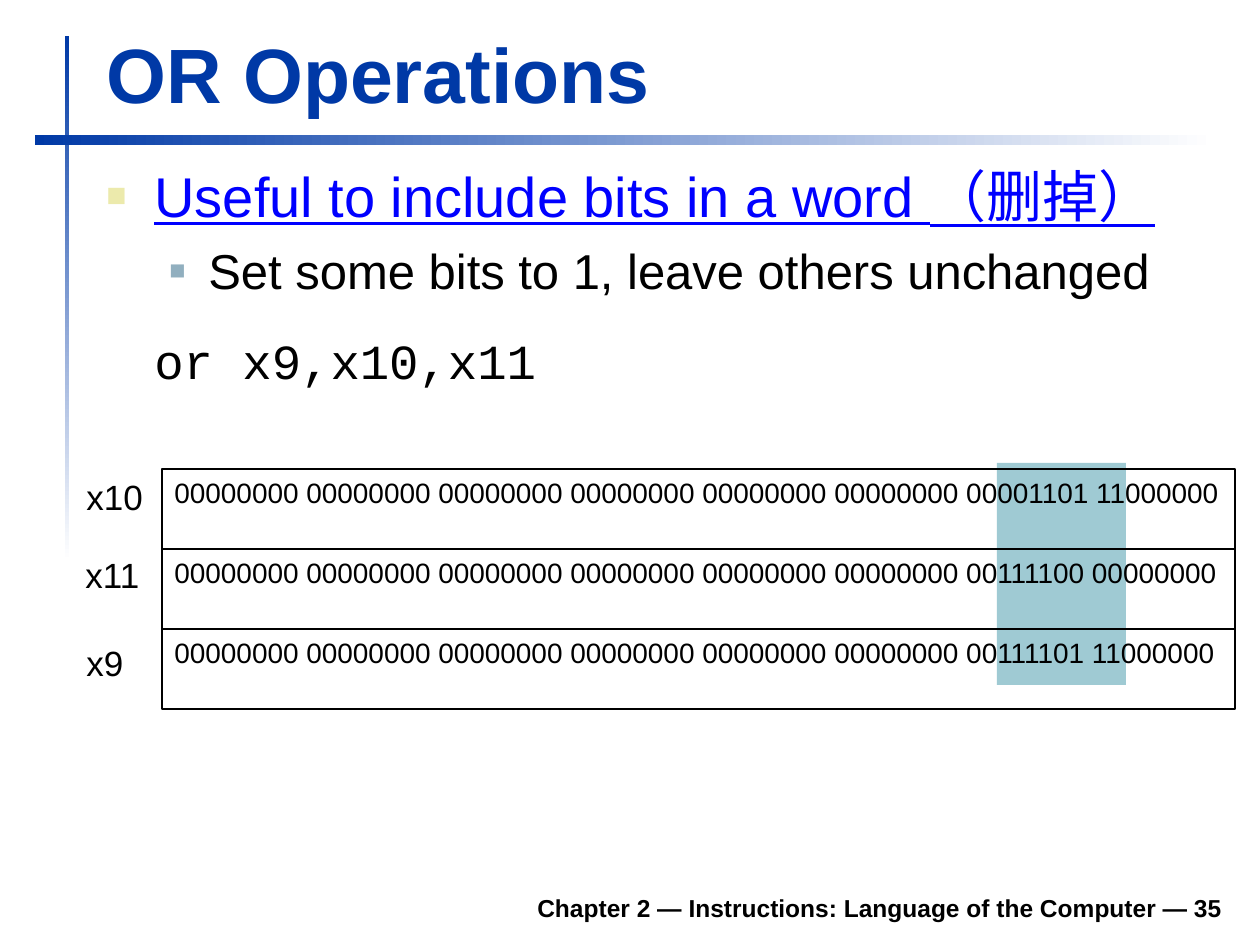
from lxml import etree
from pptx import Presentation
from pptx.dml.color import RGBColor
from pptx.enum.shapes import MSO_SHAPE
from pptx.enum.text import MSO_ANCHOR, MSO_AUTO_SIZE, PP_ALIGN
from pptx.oxml.ns import qn
from pptx.util import Pt

RECT = MSO_SHAPE.RECTANGLE
TOP, BOTTOM = MSO_ANCHOR.TOP, MSO_ANCHOR.BOTTOM
LEFT, RIGHT = PP_ALIGN.LEFT, PP_ALIGN.RIGHT
NO_FIT = MSO_AUTO_SIZE.NONE
BLUE, BLACK, WHITE = "0039A6", "000000", "FFFFFF"

TITLE = "OR Operations"
FOOTER = "Chapter 2 — Instructions: Language of the Computer — 35"
BODY = [
    dict(text="Useful to include bits in a word （删掉）", size=32, color="0000FF",
         underline=True, indent=(48, -48), bullet=("ECEAAC", 60)),
    dict(text="Set some bits to 1, leave others unchanged", size=28, before=7,
         indent=(102, -39), bullet=("91AFBF", 55)),
    dict(text="or x9,x10,x11", size=28, font="Courier New", before=17.5,
         after=10.5, indent=(48, 0)),
]
ZEROS = "00000000 " * 6
REGISTERS = [
    ("x10", "00001101 11000000", (74, 469, 82, 55)),
    ("x11", "00111100 00000000", (73, 547, 82, 55)),
    ("x9", "00111101 11000000", (74, 635, 62, 55)),
]
ROW_X, ROW_Y, ROW_W, ROW_H = 162, 469, 1073, 80


def px(n):
    return round(n * 914400 / 126)


def rgb(color):
    return RGBColor.from_string(color)


def place(sp, box):
    sp.left, sp.top, sp.width, sp.height = map(px, box)


def write(p, text, size=16, color=BLACK, font="Arial", bold=False,
          underline=False, align=LEFT, before=0, after=0, indent=None, bullet=None):
    p.alignment = align
    p.space_before, p.space_after = Pt(before), Pt(after)
    pPr = p._p.get_or_add_pPr()
    if indent:
        pPr.set("marL", str(px(indent[0])))
        pPr.set("indent", str(px(indent[1])))
    if bullet:
        buc, percent = bullet
        clr = etree.SubElement(pPr, qn("a:buClr"))
        etree.SubElement(clr, qn("a:srgbClr"), val=buc)
        etree.SubElement(pPr, qn("a:buSzPct"), val=str(percent * 1000))
        etree.SubElement(pPr, qn("a:buFont"), typeface="Arial")
        etree.SubElement(pPr, qn("a:buChar"), char="■")
    r = p.add_run()
    r.text = text
    r.font.size, r.font.name = Pt(size), font
    r.font.bold, r.font.underline = bold, underline
    r.font.color.rgb = rgb(color)


def frame(sp, anchor=TOP, wrap=True):
    tf = sp.text_frame
    tf.auto_size, tf.word_wrap, tf.vertical_anchor = NO_FIT, wrap, anchor
    tf.margin_left = tf.margin_right = px(12.6)
    tf.margin_top = tf.margin_bottom = px(6.3)
    return tf


def add_text(s, box, text, anchor=TOP, wrap=True, **fmt):
    sp = s.shapes.add_textbox(*map(px, box))
    write(frame(sp, anchor, wrap).paragraphs[0], text, **fmt)


def add_rect(s, box, fill=None, line=None):
    sp = s.shapes.add_shape(RECT, *map(px, box))
    sp.shadow.inherit = False
    if fill:
        sp.fill.solid()
        sp.fill.fore_color.rgb = rgb(fill)
    else:
        sp.fill.background()
    if line:
        sp.line.color.rgb = rgb(line)
        sp.line.width = Pt(0.75)
    else:
        sp.line.fill.background()
    return sp


def add_fade(s, box, angle):
    sp = add_rect(s, box)
    sp.fill.gradient()
    sp.fill.gradient_angle = angle
    for stop, color, pos in zip(sp.fill.gradient_stops, (BLUE, WHITE), (0, 1)):
        stop.color.rgb = rgb(color)
        stop.position = pos


def main():
    prs = Presentation()
    prs.slide_width, prs.slide_height = px(1260), px(945)
    s = prs.slides.add_slide(prs.slide_layouts[5])

    title = s.shapes.title
    place(title, (94, 20, 1138, 105))
    write(frame(title, BOTTOM).paragraphs[0], TITLE, size=44, color=BLUE, bold=True)

    add_fade(s, (65, 36, 4, 525), 270)
    add_fade(s, (35, 135, 1180, 10), 0)
    add_text(s, (233, 880, 1002, 49), FOOTER, anchor=BOTTOM, size=14,
             bold=True, align=RIGHT)

    body = frame(s.shapes.add_textbox(*map(px, (94, 155, 1139, 286))))
    for i, item in enumerate(BODY):
        write(body.add_paragraph() if i else body.paragraphs[0], **item)

    add_rect(s, (997, 463, 129, 222), fill="9FCAD3")
    for i, (name, bits, label_box) in enumerate(REGISTERS):
        row = add_rect(s, (ROW_X, ROW_Y + i * ROW_H, ROW_W, ROW_H), line=BLACK)
        write(frame(row).paragraphs[0], ZEROS + bits)
        add_text(s, label_box, name, wrap=False, size=20)

    prs.save("out.pptx")


if __name__ == "__main__":
    main()
